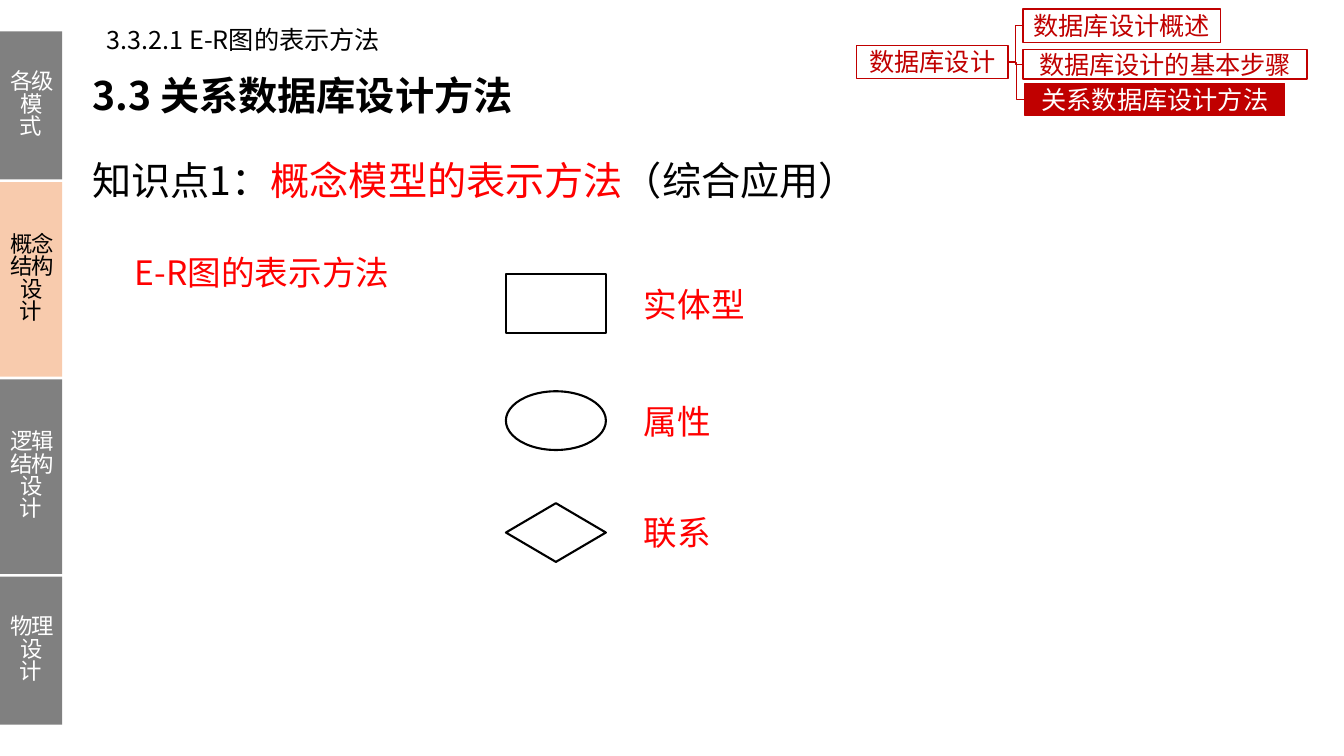
from pptx import Presentation
from pptx import util as u
from pptx.dml.color import RGBColor
from pptx.enum import shapes, text
from pptx.oxml import ns
from lxml import etree

BLACK = RGBColor(0, 0, 0)
WHITE = RGBColor(255, 255, 255)
RED = RGBColor(255, 0, 0)
CRIMSON = RGBColor(0xC0, 0, 0)
GRAY = RGBColor(0x80, 0x80, 0x80)
PEACH = RGBColor(0xF8, 0xCB, 0xAD)
SC, JP = "Noto Sans CJK SC", "Noto Sans CJK JP"
PRESET = shapes.MSO_SHAPE
CENTER = {"alignment": text.PP_ALIGN.CENTER}
MIDDLE = text.MSO_ANCHOR.MIDDLE


def apply(target, values):
    for name, value in values.items():
        setattr(target, name, value)


def write(sp, runs, size, font=SC, bold=False, spacing=None, frame=None, para=None):
    tf = sp.text_frame
    apply(tf, {"word_wrap": True, **(frame or {})})
    p = tf.paragraphs[0]
    apply(p, para or {})
    for words, color in runs:
        r = p.add_run()
        r.text = words
        apply(r.font, {"size": u.Pt(size), "name": font, "bold": bold})
        r.font.color.rgb = color
        rpr = r.font._element
        etree.SubElement(rpr, ns.qn("a:ea")).set("typeface", font)
        if spacing is not None:
            rpr.set("spc", str(spacing))


def add_text(s, box, runs, size, **style):
    sp = s.shapes.add_textbox(*map(u.Cm, box))
    write(sp, runs, size, **style)


def add_box(s, preset, box, fill=None, line=None, width=1):
    sp = s.shapes.add_shape(preset, *map(u.Cm, box))
    sp.shadow.inherit = False
    if fill is None:
        sp.fill.background()
    else:
        sp.fill.solid()
        sp.fill.fore_color.rgb = fill
    if line is None:
        sp.line.fill.background()
    else:
        sp.line.color.rgb = line
        sp.line.width = u.Pt(width)
    return sp


def headings(s, left, top):
    margins = {"margin_left": u.Cm(0.3), "margin_right": u.Cm(0.3),
               "margin_top": u.Cm(0.15), "margin_bottom": u.Cm(0.15)}
    add_text(s, (left + 0.41, top, 7.57, 1.02),
             [("3.3.2.1 E-R图的表示方法", BLACK)], 18, frame={"word_wrap": False})
    add_text(s, (left, top + 1.17, 24.5, 1.5),
             [("3.3 关系数据库设计方法", BLACK)], 28, bold=True, frame=margins)
    add_text(s, (left, top + 2.44, 30.9, 2.64),
             [("知识点1：", BLACK), ("概念模型的表示方法", RED), ("（综合应用）", BLACK)], 28,
             frame={"vertical_anchor": MIDDLE, **margins}, para={"line_spacing": 1.5})
    add_text(s, (left + 1.12, top + 5.46, 27.8, 1.57),
             [("E-R图的表示方法", RED)], 24, font=JP, para={"line_spacing": u.Pt(37)})


def side_tabs(s, left, top, width, gap):
    tabs = [("各级模式", 3.73, GRAY, WHITE), ("概念结构设计", 4.9, PEACH, BLACK),
            ("逻辑结构设计", 4.9, GRAY, WHITE), ("物理设计", 3.73, GRAY, WHITE)]
    for label, height, fill, color in tabs:
        sp = add_box(s, PRESET.RECTANGLE, (left, top, width, height), fill)
        write(sp, [(label, color)], 16, spacing=-100, frame={"vertical_anchor": MIDDLE},
              para={"line_spacing": u.Pt(16), **CENTER})
        top += height + gap


def chapter_map(s, left, top):
    def node(label, box, fill, color):
        x, y, w, h = box
        sp = add_box(s, PRESET.RECTANGLE, (left + x, top + y, w, h), fill, CRIMSON)
        write(sp, [(label, color)], 18, frame={"vertical_anchor": MIDDLE}, para=CENTER)
        return sp

    root = node("数据库设计", (0, 0.91, 3.81, 0.84), WHITE, CRIMSON)
    topics = [("数据库设计概述", (4.19, 0, 4.98, 0.84), WHITE, CRIMSON),
              ("数据库设计的基本步骤", (4.19, 1.02, 7.16, 0.74), WHITE, CRIMSON),
              ("关系数据库设计方法", (4.24, 1.88, 6.55, 0.81), CRIMSON, WHITE)]
    for topic in topics:
        sp = node(*topic)
        link = s.shapes.add_connector(shapes.MSO_CONNECTOR.ELBOW, 0, 0, 0, 0)
        link.begin_connect(sp, 1)
        link.end_connect(root, 3)
        link.line.color.rgb = CRIMSON
        link.line.width = u.Pt(0.5)
        etree.SubElement(link._element.spPr, ns.qn("a:effectLst"))


def symbol_legend(s, left, top):
    symbols = [(PRESET.RECTANGLE, "实体型", 0), (PRESET.OVAL, "属性", 2.95),
               (PRESET.FLOWCHART_DECISION, "联系", 5.77)]
    for preset, label, offset in symbols:
        y = top + offset
        add_box(s, preset, (left, y, 2.52, 1.48), line=BLACK, width=1.5)
        add_text(s, (left + 3.23, y + 0.1, 4.57, 1.28), [(label, RED)], 24, font=JP,
                 frame={"vertical_anchor": MIDDLE})


def main():
    prs = Presentation()
    apply(prs, {"slide_width": u.Cm(33.87), "slide_height": u.Cm(19.05)})
    s = prs.slides.add_slide(prs.slide_layouts[6])
    headings(s, 2.03, 0.48)
    side_tabs(s, 0, 0.79, 1.57, 0.07)
    chapter_map(s, 21.59, 0.23)
    symbol_legend(s, 12.75, 6.91)
    prs.save("out.pptx")


if __name__ == "__main__":
    main()
